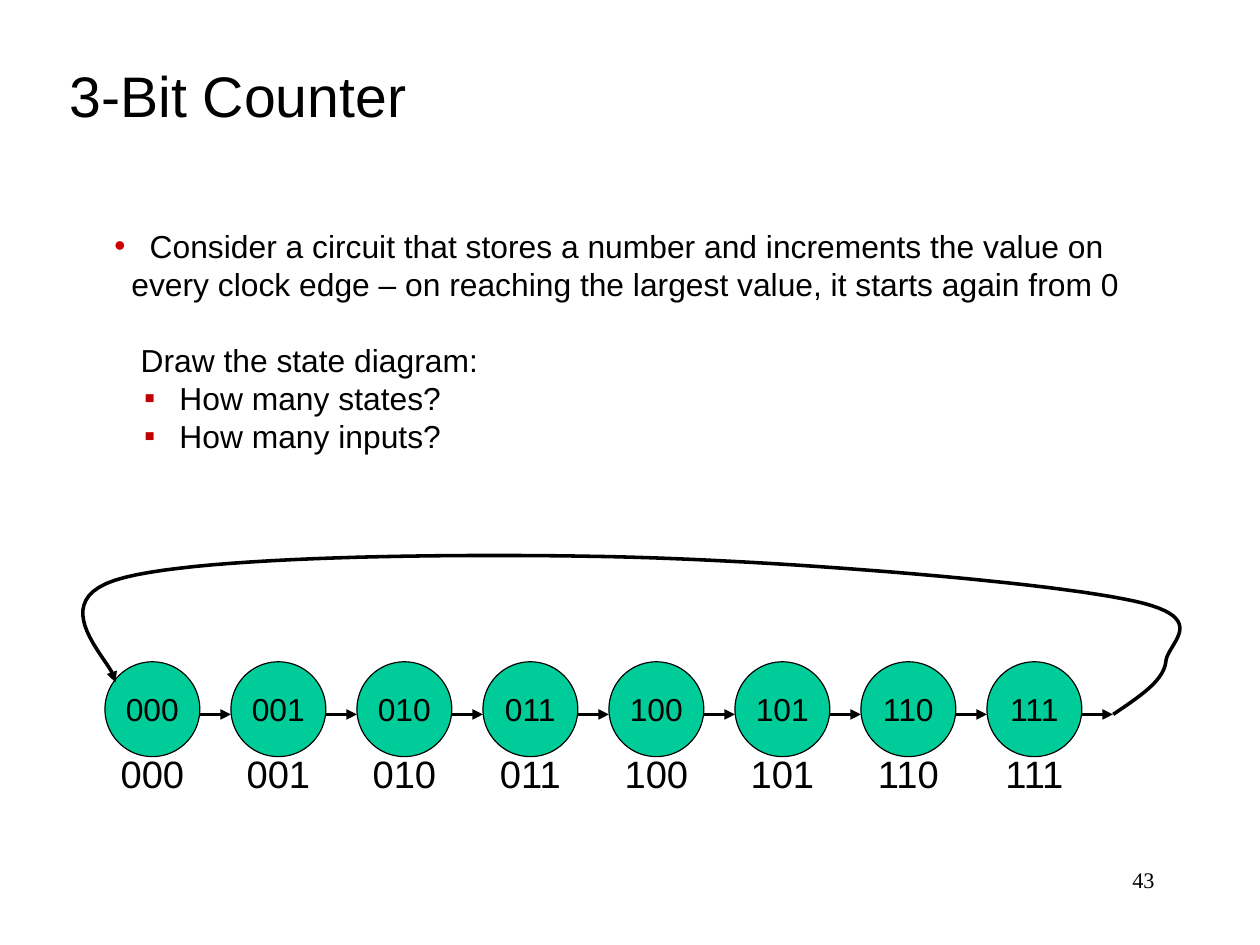
"""Build the 3-Bit Counter slide: question list above a ring of eight states."""
from lxml import etree
from pptx import Presentation
from pptx import util as u
from pptx.dml.color import RGBColor
from pptx.enum import shapes, text
from pptx.oxml.ns import qn

BLACK = RGBColor(0x00, 0x00, 0x00)
GREEN = RGBColor(0x00, 0xCC, 0x99)
RED = RGBColor(0xCC, 0x00, 0x00)
DARK_RED = RGBColor(0xC0, 0x00, 0x00)


def write(para, words, size, align, face="Arial"):
    para.text = words
    para.alignment = align
    para.font.size = u.Pt(size)
    para.font.name = face
    para.font.color.rgb = BLACK


def make_arrow(shape):
    shape.line.color.rgb = BLACK
    shape.line.width = u.Pt(2.25)
    outline = shape._element.spPr.find(qn("a:ln"))
    etree.SubElement(outline, qn("a:tailEnd"), type="triangle")
    etree.SubElement(shape._element.spPr, qn("a:effectLst"))


deck = Presentation()
deck.slide_width = u.Cm(28)
deck.slide_height = u.Cm(21)
page = deck.slides.add_slide(deck.slide_layouts[1])
LEFT, CENTER, RIGHT = text.PP_ALIGN.LEFT, text.PP_ALIGN.CENTER, text.PP_ALIGN.RIGHT

title = page.shapes.title
title.left, title.top = u.Inches(0.51), u.Inches(0.48)
title.width, title.height = u.Inches(3.4), u.Inches(0.7)
title.text_frame.vertical_anchor = text.MSO_ANCHOR.TOP
title.text_frame.auto_size = text.MSO_AUTO_SIZE.NONE
write(title.text_frame.paragraphs[0], "3-Bit Counter", 36, LEFT)

body = page.placeholders[1]
body.left, body.top = u.Inches(0.9), u.Inches(1.93)
body.width, body.height = u.Inches(9.2), u.Inches(2.1)
body.text_frame.auto_size = text.MSO_AUTO_SIZE.NONE

questions = [
    ("Consider a circuit that stores a number and increments the value on", 0, 0.31, 0.31, "•", RED, 0),
    ("every clock edge – on reaching the largest value, it starts again from 0", 0, 0.15, 0, None, None, 0),
    ("Draw the state diagram:", 0, 0.23, 0, None, None, 24),
    ("How many states?", 1, 0.57, 0.31, "▪", DARK_RED, 0),
    ("How many inputs?", 1, 0.57, 0.31, "▪", DARK_RED, 0),
]
for index, (words, level, margin, hanging, bullet, color, gap) in enumerate(questions):
    para = body.text_frame.paragraphs[0] if index == 0 else body.text_frame.add_paragraph()
    para.level = level
    props = para._p.get_or_add_pPr()
    props.set("marL", str(u.Inches(margin)))
    props.set("indent", str(-u.Inches(hanging)))
    if bullet:
        bullet_color = etree.SubElement(props, qn("a:buClr"))
        etree.SubElement(bullet_color, qn("a:srgbClr"), val=str(color))
        etree.SubElement(props, qn("a:buChar"), char=bullet)
    else:
        etree.SubElement(props, qn("a:buNone"))
    para.line_spacing = u.Pt(24)
    para.space_before = u.Pt(gap)
    write(para, words, 20, LEFT)

column = deck.slide_width / 10
first_left = deck.slide_width / 12
diameter = u.Inches(0.83)
circle_top, label_top, arrow_y = u.Inches(5.79), u.Inches(6.52), u.Inches(6.25)
for state in range(8):
    code = f"{state:03b}"
    left = int(first_left + state * column)
    circle = page.shapes.add_shape(
        shapes.MSO_SHAPE.OVAL, left, circle_top, diameter, diameter)
    circle.shadow.inherit = False
    circle.fill.solid()
    circle.fill.fore_color.rgb = GREEN
    circle.line.color.rgb = BLACK
    circle.line.width = u.Pt(0.75)
    circle.text_frame.word_wrap = False
    circle.text_frame.vertical_anchor = text.MSO_ANCHOR.MIDDLE
    write(circle.text_frame.paragraphs[0], code, 20, CENTER)

    label = page.shapes.add_textbox(left, label_top, diameter, u.Inches(0.5))
    label.text_frame.word_wrap = False
    write(label.text_frame.paragraphs[0], code, 24, CENTER)

    step = page.shapes.add_connector(
        shapes.MSO_CONNECTOR.STRAIGHT, left + diameter, arrow_y, int(left + column), arrow_y)
    make_arrow(step)

start = (9.74, 6.25)
curves = [
    ((9.96, 6.1), (10.18, 5.96), (10.2, 5.79)),
    ((10.21, 5.62), (10.64, 5.39), (9.83, 5.24)),
    ((9.02, 5.08), (6.78, 4.9), (5.33, 4.87)),
    ((3.87, 4.84), (1.82, 4.87), (1.1, 5.05)),
    ((0.3, 5.24), (1.03, 5.82), (1.01, 5.97)),
]
STEPS = 24
points = []
corner = start
for control_a, control_b, end in curves:
    for t in (n / STEPS for n in range(1, STEPS + 1)):
        weights = ((1 - t) ** 3, 3 * t * (1 - t) ** 2, 3 * t * t * (1 - t), t ** 3)
        points.append([
            u.Inches(sum(w * v for w, v in zip(weights, values)))
            for values in zip(corner, control_a, control_b, end)])
    corner = end
builder = page.shapes.build_freeform(u.Inches(start[0]), u.Inches(start[1]))
builder.add_line_segments(points, close=False)
return_loop = builder.convert_to_shape()
return_loop.fill.background()
make_arrow(return_loop)

number = page.shapes.add_textbox(u.Inches(7.9), u.Inches(7.53), u.Inches(2.3), u.Inches(0.55))
number.text_frame.word_wrap = True
write(number.text_frame.paragraphs[0], "43", 14, RIGHT, "Times New Roman")

deck.save("out.pptx")
